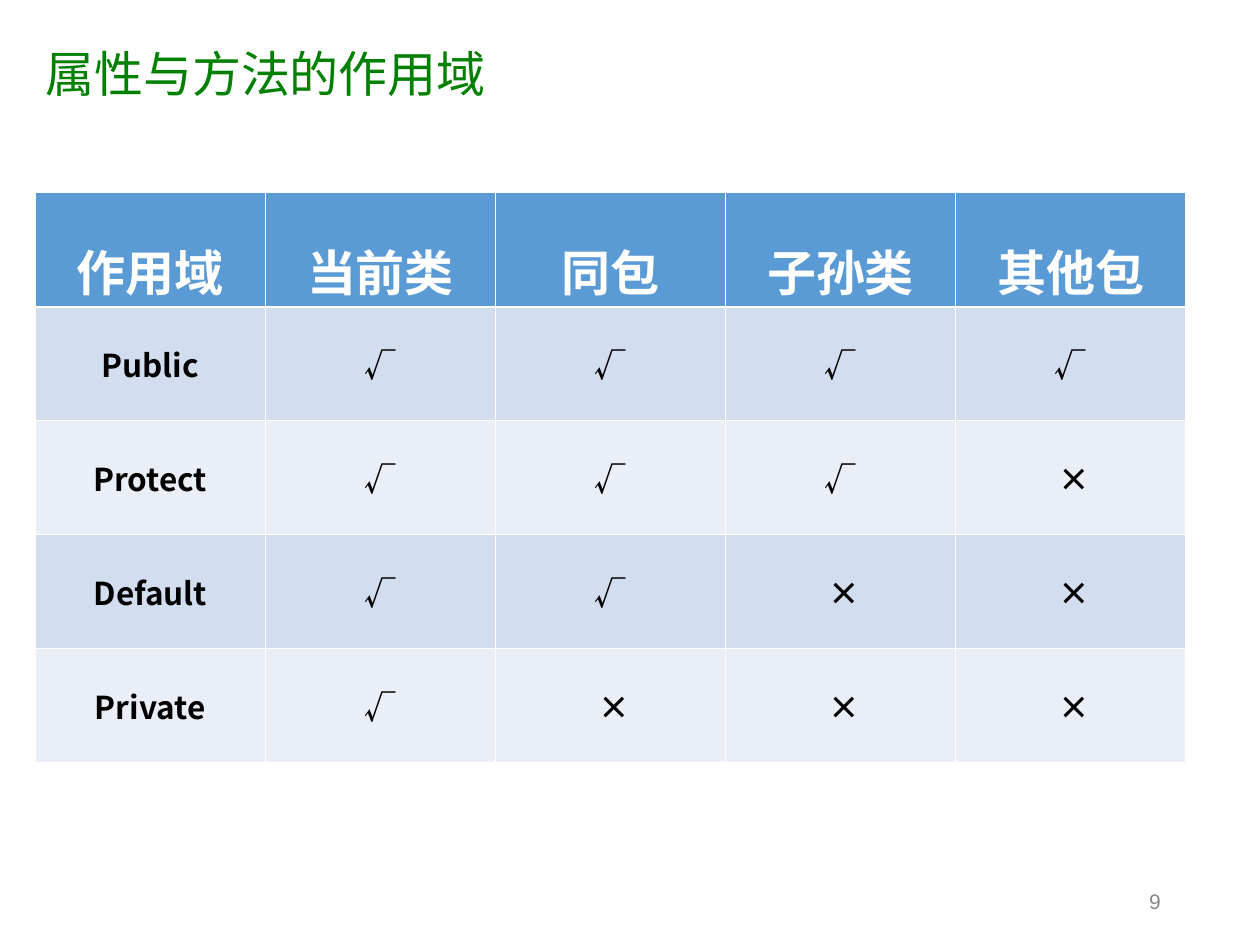
from lxml import etree
from pptx import Presentation
from pptx.dml.color import RGBColor
from pptx.enum.text import MSO_ANCHOR, PP_ALIGN
from pptx.oxml.ns import qn
from pptx.util import Inches, Pt

LEFT, CENTER, RIGHT = PP_ALIGN.LEFT, PP_ALIGN.CENTER, PP_ALIGN.RIGHT
MIDDLE = MSO_ANCHOR.MIDDLE
CJK_FONT, NUMBER_FONT = "Noto Sans CJK SC", "Arial"
WHITE, BLACK, GREEN, GREY = "FFFFFF", "000000", "008000", "898989"
HEADER_FILL, BAND_FILLS = "5B9BD5", ("D2DEEF", "EAEFF7")
THIN, THICK = 0.45, 1.47
YES, NO = "√", " ×"

HEADERS = ["作用域", "当前类", "同包", "子孙类", "其他包"]
SCOPES = {"Public": 4, "Protect": 3, "Default": 2, "Private": 1}


def color(value):
    """Turn a hex string into a colour."""
    return RGBColor.from_string(value)


def write(frame, text, size, ink, font=CJK_FONT, align=LEFT, bold=False, spacing=None):
    """Write one styled paragraph into a text frame."""
    para = frame.paragraphs[0]
    para.text = text
    para.alignment = align
    para.line_spacing = spacing
    para.font.size = Pt(size)
    para.font.bold = bold
    para.font.color.rgb = color(ink)
    para.font.name = font
    style = para._p.pPr.find(qn("a:defRPr"))
    etree.SubElement(style, qn("a:ea")).set("typeface", font)


def add_text(page, bounds, insets, text, size, ink, **style):
    """Add a vertically centred text box."""
    box = page.shapes.add_textbox(*map(Inches, bounds))
    frame = box.text_frame
    frame.word_wrap = True
    frame.vertical_anchor = MIDDLE
    frame.margin_left = frame.margin_right = Inches(insets[0])
    frame.margin_top = frame.margin_bottom = Inches(insets[1])
    write(frame, text, size, ink, **style)


def add_borders(cell, top, bottom):
    """Draw white borders around a table cell."""
    properties = cell._tc.get_or_add_tcPr()
    widths = {"a:lnL": THIN, "a:lnR": THIN, "a:lnT": top, "a:lnB": bottom}
    for tag, width in widths.items():
        line = etree.SubElement(properties, qn(tag), w=str(Pt(width)))
        fill = etree.SubElement(line, qn("a:solidFill"))
        etree.SubElement(fill, qn("a:srgbClr"), val=WHITE)


def add_scope_table(page, bounds):
    """Add the table that shows where each scope is visible."""
    reach = len(HEADERS) - 1
    rows = [HEADERS]
    rows += [[name] + [YES] * seen + [NO] * (reach - seen) for name, seen in SCOPES.items()]
    shape = page.shapes.add_table(len(rows), len(HEADERS), *map(Inches, bounds))
    for row_index, row in enumerate(rows):
        header = row_index == 0
        fill = HEADER_FILL if header else BAND_FILLS[(row_index - 1) % 2]
        size, ink, spacing = (28, WHITE, 1.5) if header else (18, BLACK, None)
        top = THICK if row_index == 1 else THIN
        bottom = THICK if header else THIN
        for column_index, text in enumerate(row):
            cell = shape.table.cell(row_index, column_index)
            add_borders(cell, top, bottom)
            cell.fill.solid()
            cell.fill.fore_color.rgb = color(fill)
            cell.vertical_anchor = MIDDLE
            write(cell.text_frame, text, size, ink, align=CENTER, bold=True, spacing=spacing)


def main():
    """Build the slide on attribute and method scopes."""
    deck = Presentation()
    deck.slide_width, deck.slide_height = Inches(10), Inches(7.5)
    page = deck.slides.add_slide(deck.slide_layouts[6])
    add_text(page, (7.06, 6.95, 2.25, 0.4), (0.1, 0.05), "9", 12, GREY,
             font=NUMBER_FONT, align=RIGHT)
    add_text(page, (0.28, 0.3, 9.42, 0.55), (0.08, 0.04), "属性与方法的作用域", 28, GREEN)
    add_scope_table(page, (0.28, 1.53, 9.13, 4.52))
    deck.save("out.pptx")


if __name__ == "__main__":
    main()
